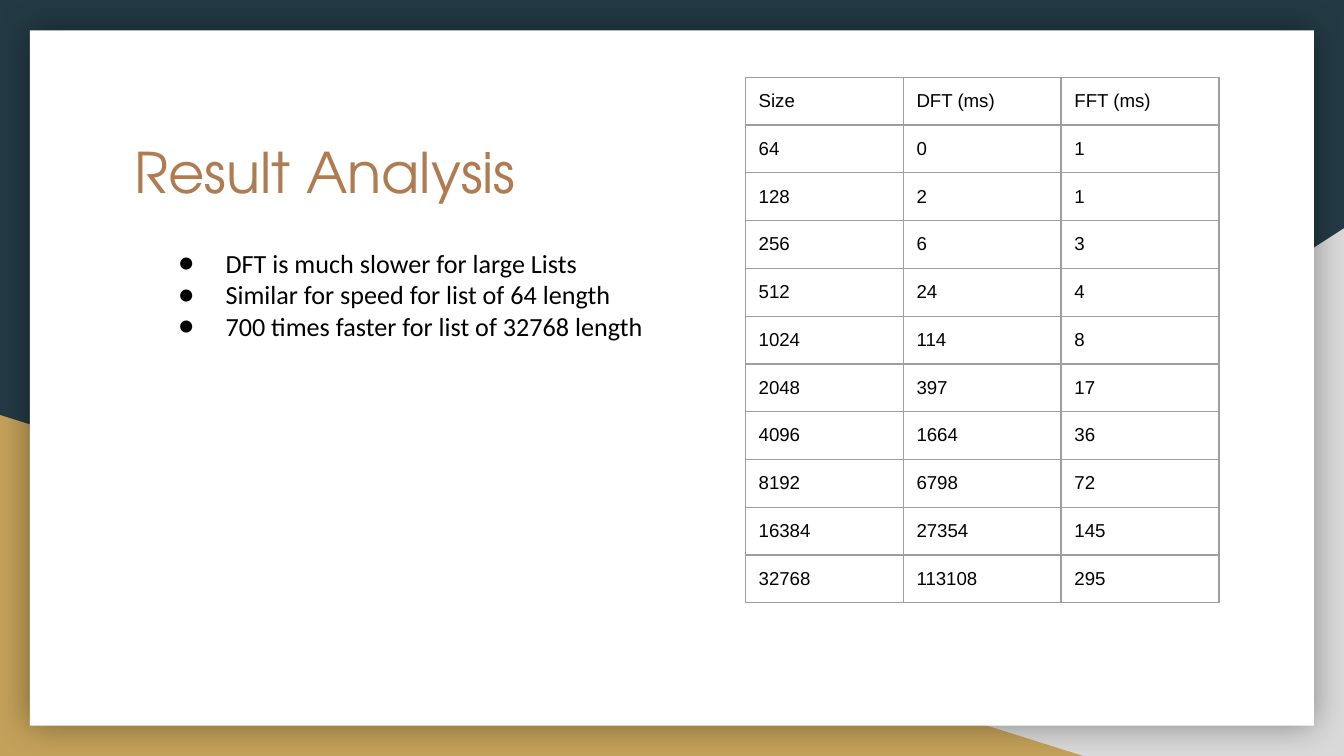
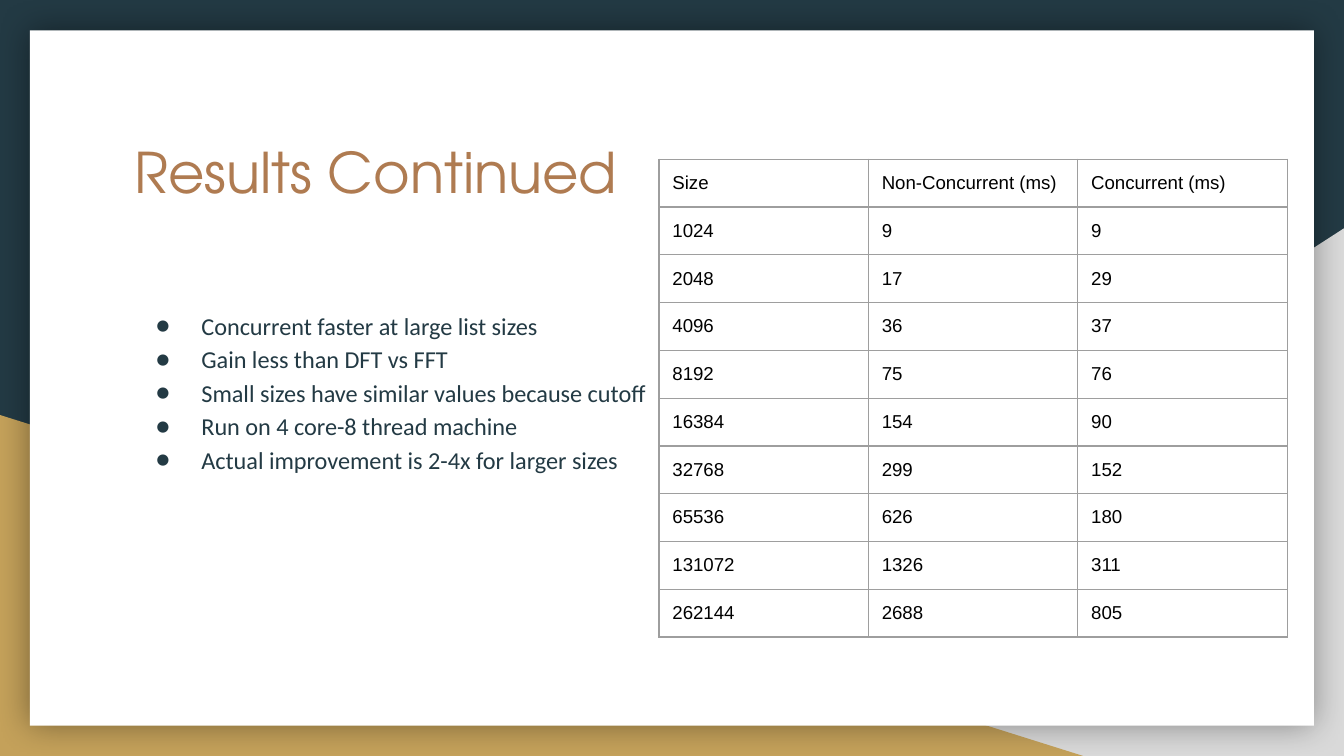
"""Build two result slides comparing Fourier transform timings."""
from lxml.etree import SubElement
from pptx import Presentation
from pptx.dml.color import RGBColor
from pptx.enum.shapes import MSO_SHAPE
from pptx.enum.text import MSO_ANCHOR, MSO_AUTO_SIZE, PP_ALIGN
from pptx.oxml import parse_xml
from pptx.oxml.ns import nsdecls, qn
from pptx.util import Inches, Pt

NAVY, GOLD, GRAY, WHITE = "233A44", "C4A15A", "D9D9D9", "FFFFFF"
COPPER, BLACK, RULE = "AF7B51", "000000", "9E9E9E"

deck = Presentation()
deck.slide_width = Inches(10)
deck.slide_height = Inches(5.625)
column = deck.slide_width / 100
row = deck.slide_height / 100


def place(left, top, width, height):
    """Turn percentages of the slide into a position and size."""
    return round(left * column), round(top * row), round(width * column), round(height * row)


def write(frame, text, *, font, size, color, spacing=1.0, hanging=None):
    """Write each line of text as a paragraph, bulleted when hanging is given."""
    frame.word_wrap = True
    frame.auto_size = MSO_AUTO_SIZE.NONE
    frame.vertical_anchor = MSO_ANCHOR.TOP
    frame.margin_left = frame.margin_right = Inches(0.1)
    frame.margin_top = frame.margin_bottom = Inches(0.1)
    for index, line in enumerate(text.split("\n")):
        para = frame.add_paragraph() if index else frame.paragraphs[0]
        para.alignment = PP_ALIGN.LEFT
        para.line_spacing = spacing
        span = para.add_run()
        span.text = line
        span.font.name = font
        span.font.size = Pt(size)
        span.font.color.rgb = RGBColor.from_string(color)
        if hanging:
            properties = para._p.get_or_add_pPr()
            properties.set("marL", str(Inches(0.5)))
            properties.set("indent", str(-Inches(hanging)))
            bullet_color = SubElement(properties, qn("a:buClr"))
            SubElement(bullet_color, qn("a:srgbClr"), val=color)
            SubElement(properties, qn("a:buFont"), typeface=font)
            SubElement(properties, qn("a:buChar"), char="●")


slides = [
    {
        "title": "Result Analysis",
        "bullets": "DFT is much slower for large Lists\n"
                   "Similar for speed for list of 64 length\n"
                   "700 times faster for list of 32768 length",
        "bullet_place": (10.8, 30.93, 42.4, 51.02),
        "bullet_format": {"size": 14, "color": BLACK, "hanging": 0.35},
        "table_corner": (55.45, 10.22),
        "cell_width": 11.75,
        "rows": [
            ("Size", "DFT (ms)", "FFT (ms)"),
            (64, 0, 1),
            (128, 2, 1),
            (256, 6, 3),
            (512, 24, 4),
            (1024, 114, 8),
            (2048, 397, 17),
            (4096, 1664, 36),
            (8192, 6798, 72),
            (16384, 27354, 145),
            (32768, 113108, 295),
        ],
    },
    {
        "title": "Results Continued",
        "bullets": "Concurrent faster at large list sizes\n"
                   "Gain less than DFT vs FFT\n"
                   "Small sizes have similar values because cutoff\n"
                   "Run on 4 core-8 thread machine\n"
                   "Actual improvement is 2-4x for larger sizes",
        "bullet_place": (9, 38.76, 82.1, 47.64),
        "bullet_format": {"size": 13, "color": NAVY, "hanging": 0.34, "spacing": 1.15},
        "table_corner": (49.03, 21.07),
        "cell_width": 15.58,
        "rows": [
            ("Size", "Non-Concurrent (ms)", "Concurrent (ms)"),
            (1024, 9, 9),
            (2048, 17, 29),
            (4096, 36, 37),
            (8192, 75, 76),
            (16384, 154, 90),
            (32768, 299, 152),
            (65536, 626, 180),
            (131072, 1326, 311),
            (262144, 2688, 805),
        ],
    },
]

layout = deck.slide_layouts[5]
deck.slide_master.background.fill.solid()
deck.slide_master.background.fill.fore_color.rgb = RGBColor.from_string(NAVY)
pages = [deck.slides.add_slide(layout) for _ in slides]

backdrop = [
    (MSO_SHAPE.RIGHT_TRIANGLE, GRAY, (39.2, 30.2, 60.8, 69.8)),
    (MSO_SHAPE.RIGHT_TRIANGLE, GOLD, (0, 54.9, 80.6, 45.1)),
    (MSO_SHAPE.RECTANGLE, WHITE, (2.23, 4, 95.54, 92)),
]
for layer, (kind, color, area) in enumerate(backdrop):
    shape = pages[0].shapes.add_shape(kind, *place(*area))
    shape.fill.solid()
    shape.fill.fore_color.rgb = RGBColor.from_string(color)
    shape.line.fill.background()
    shape.shadow.inherit = False
    if color == GRAY:
        shape.element.spPr.find(qn("a:xfrm")).set("flipH", "1")
    if color == WHITE:
        effects = shape.element.spPr.find(qn("a:effectLst"))
        effects.append(parse_xml(
            f'<a:outerShdw {nsdecls("a")} blurRad="{Pt(18)}" dist="0" algn="ctr" rotWithShape="0">'
            f'<a:srgbClr val="{BLACK}"><a:alpha val="40000"/></a:srgbClr></a:outerShdw>'))
    shape.element.nvSpPr.cNvPr.set("id", str(100 + layer))
    layout.shapes.element.insert(2 + layer, shape.element)

for page, content in zip(pages, slides):
    title = page.shapes.title
    title.left, title.top, title.width, title.height = place(9, 16.36, 82.1, 18.49)
    write(title.text_frame, content["title"], font="TeX Gyre Adventor", size=30, color=COPPER)

    box = page.shapes.add_textbox(*place(*content["bullet_place"]))
    write(box.text_frame, content["bullets"], font="Calibri", **content["bullet_format"])

    rows = content["rows"]
    size = (content["cell_width"] * len(rows[0]), 6.31 * len(rows))
    table = page.shapes.add_table(
        len(rows), len(rows[0]), *place(*content["table_corner"], *size)).table
    table.first_row = table.horz_banding = False
    for table_row, values in zip(table.rows, rows):
        for cell, value in zip(table_row.cells, values):
            cell.fill.background()
            cell.margin_left = cell.margin_right = Inches(0.1)
            cell.margin_top = cell.margin_bottom = Inches(0.1)
            para = cell.text_frame.paragraphs[0]
            span = para.add_run()
            span.text = str(value)
            span.font.name = "Arial"
            span.font.size = Pt(10)
            span.font.color.rgb = RGBColor.from_string(BLACK)
            properties = cell._tc.get_or_add_tcPr()
            for position, side in enumerate(("lnL", "lnR", "lnT", "lnB")):
                properties.insert(position, parse_xml(
                    f'<a:{side} {nsdecls("a")} w="{Pt(0.75)}"><a:solidFill>'
                    f'<a:srgbClr val="{RULE}"/></a:solidFill></a:{side}>'))

deck.save("out.pptx")
